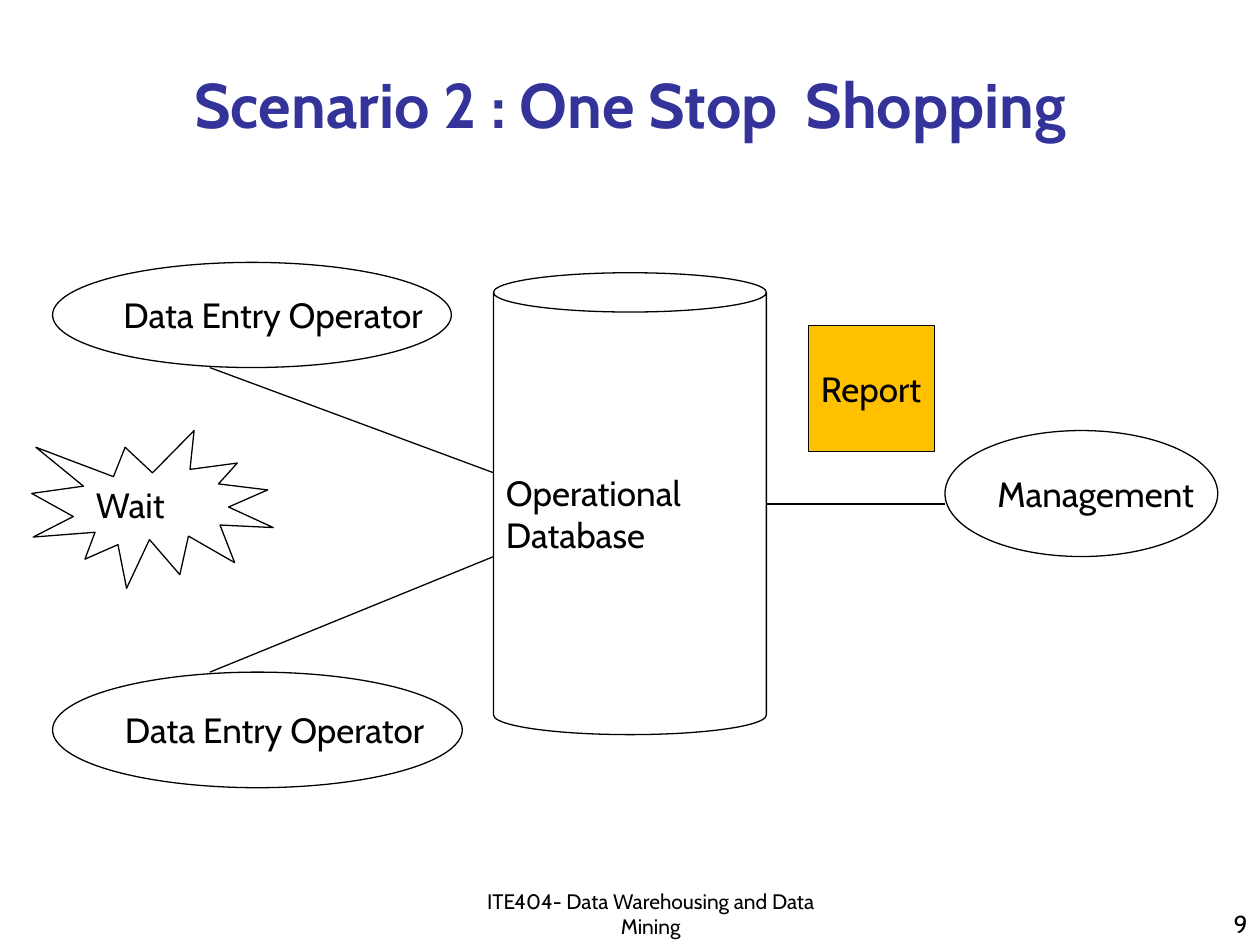
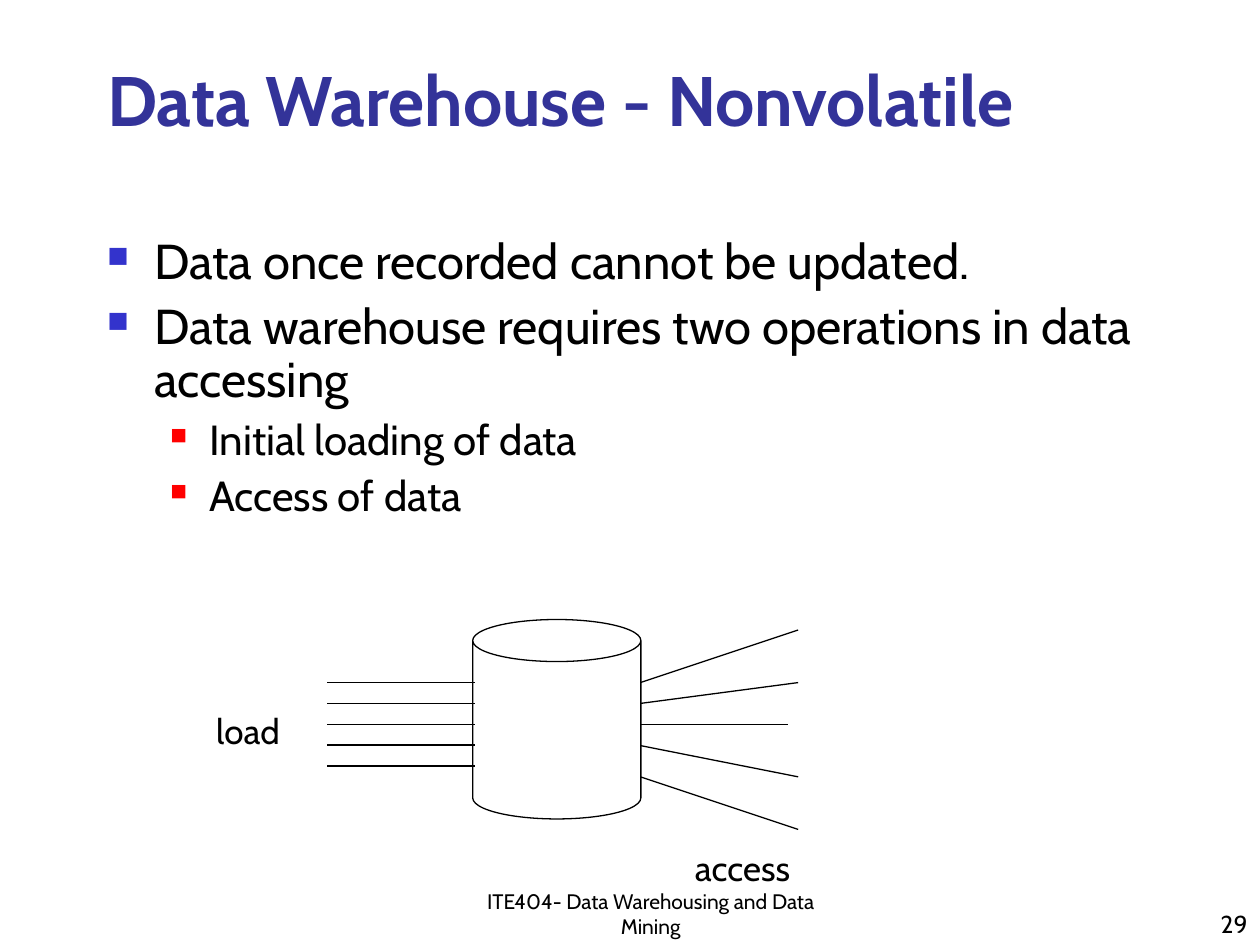
from dataclasses import dataclass
from typing import Any, Optional

import lxml.etree
import pptx
import pptx.dml.color
import pptx.enum.shapes
import pptx.enum.text
import pptx.oxml.ns
import pptx.util

Cm = pptx.util.Cm
Pt = pptx.util.Pt
Preset = pptx.enum.shapes.MSO_SHAPE
Align = pptx.enum.text.PP_ALIGN
Anchor = pptx.enum.text.MSO_ANCHOR

FONT = "Cabin"
BLACK = "000000"
TITLE_BLUE = "333399"
REPORT_AMBER = "FFC000"
LINE_WIDTH = 0.75
LABEL_SIZE = 20
COURSE = "ITE404- Data Warehousing and Data Mining"


@dataclass(frozen=True)
class Area:
    left: float
    top: float
    width: float
    height: float


@dataclass(frozen=True)
class Figure:
    preset: Any
    area: Area
    label: str = ""
    fill: Optional[str] = None
    bend: Optional[float] = None


@dataclass(frozen=True)
class Link:
    start_x: float
    start_y: float
    end_x: float
    end_y: float


@dataclass(frozen=True)
class Bullet:
    level: int
    size: int
    color: str
    scale: int
    indent: float
    hanging: float
    space: int


POINT = Bullet(0, 28, "3333CC", 60, 0.95, 0.95, 7)
DETAIL = Bullet(1, 24, "FF0000", 55, 2.06, 0.79, 6)

SCENARIO_FIGURES = [
    Figure(Preset.CAN, Area(9.95, 5.5, 5.5, 9.31), "Operational\nDatabase", bend=0.144),
    Figure(Preset.OVAL, Area(1.06, 5.29, 8.04, 2.12), "Data Entry Operator"),
    Figure(Preset.OVAL, Area(1.06, 13.55, 8.26, 2.33), "Data Entry Operator"),
    Figure(Preset.OVAL, Area(19.05, 8.68, 5.5, 2.54), "Management"),
    Figure(Preset.EXPLOSION1, Area(0.64, 8.68, 4.87, 3.18), "Wait"),
    Figure(Preset.RECTANGLE, Area(16.3, 6.56, 2.54, 2.54), "Report", fill=REPORT_AMBER),
]
SCENARIO_LINKS = [
    Link(4.23, 7.41, 9.95, 9.53),
    Link(4.23, 13.55, 9.95, 11.22),
    Link(15.45, 10.16, 19.05, 10.16),
]

WAREHOUSE = Figure(Preset.CAN, Area(9.53, 12.49, 3.39, 4.02), bend=0.25)
LOAD_LINKS = [Link(6.6, y, 9.58, y) for y in (13.76 + 0.42 * row for row in range(5))]
ACCESS_LINKS = [
    Link(12.91, 13.76, 16.09, 12.7),
    Link(12.91, 14.18, 16.09, 13.76),
    Link(12.91, 14.61, 15.88, 14.61),
    Link(12.91, 15.03, 16.09, 15.66),
    Link(12.91, 15.66, 16.09, 16.72),
]
NONVOLATILE_POINTS = [
    ("Data once recorded cannot be updated.", POINT),
    ("Data warehouse requires two operations in data accessing", POINT),
    ("Initial loading of data", DETAIL),
    ("Access of data", DETAIL),
]


def rgb(value: str) -> pptx.dml.color.RGBColor:
    return pptx.dml.color.RGBColor.from_string(value)


def place(area: Area) -> tuple:
    return Cm(area.left), Cm(area.top), Cm(area.width), Cm(area.height)


def add_bullet(para: Any, bullet: Bullet) -> None:
    para.level = bullet.level
    properties = para._p.get_or_add_pPr()
    properties.set("marL", str(Cm(bullet.indent)))
    properties.set("indent", str(-Cm(bullet.hanging)))
    qn = pptx.oxml.ns.qn
    color = lxml.etree.SubElement(properties, qn("a:buClr"))
    lxml.etree.SubElement(color, qn("a:srgbClr"), val=bullet.color)
    lxml.etree.SubElement(properties, qn("a:buSzPct"), val=str(bullet.scale * 1000))
    lxml.etree.SubElement(properties, qn("a:buChar"), char="■")


def write(
    frame: Any,
    text: str,
    *,
    size: int = LABEL_SIZE,
    color: str = BLACK,
    bold: bool = False,
    align: Any = Align.LEFT,
    bullet: Optional[Bullet] = None,
) -> None:
    for line in text.split("\n"):
        first = not frame.text
        para = frame.paragraphs[0] if first else frame.add_paragraph()
        para.alignment = align
        if bullet:
            add_bullet(para, bullet)
            para.line_spacing = 0.9
            para.space_before = Pt(0 if first else bullet.space)
        span = para.add_run()
        span.text = line
        span.font.name = FONT
        span.font.size = Pt(size)
        span.font.bold = bold
        span.font.color.rgb = rgb(color)


def add_frame(page: Any, area: Area, anchor: Any = Anchor.TOP, wrap: bool = True) -> Any:
    frame = page.shapes.add_textbox(*place(area)).text_frame
    frame.word_wrap = wrap
    frame.vertical_anchor = anchor
    return frame


def draw_figure(page: Any, figure: Figure) -> None:
    shape = page.shapes.add_shape(figure.preset, *place(figure.area))
    shape.shadow.inherit = False
    if figure.bend is not None:
        shape.adjustments[0] = figure.bend
    if figure.fill:
        shape.fill.solid()
        shape.fill.fore_color.rgb = rgb(figure.fill)
    else:
        shape.fill.background()
    shape.line.color.rgb = rgb(BLACK)
    shape.line.width = Pt(LINE_WIDTH)
    if figure.label:
        shape.text_frame.word_wrap = False
        shape.text_frame.vertical_anchor = Anchor.MIDDLE
        write(shape.text_frame, figure.label)


def draw_link(page: Any, link: Link) -> None:
    connector = page.shapes.add_connector(
        pptx.enum.shapes.MSO_CONNECTOR.STRAIGHT,
        Cm(link.start_x), Cm(link.start_y), Cm(link.end_x), Cm(link.end_y),
    )
    connector.line.color.rgb = rgb(BLACK)
    connector.line.width = Pt(LINE_WIDTH)
    lxml.etree.SubElement(connector._element.spPr, pptx.oxml.ns.qn("a:effectLst"))


def add_page(deck: Any, title: str, area: Area, size: int, align: Any, number: int) -> Any:
    page = deck.slides.add_slide(deck.slide_layouts[6])
    write(add_frame(page, area, Anchor.BOTTOM), title,
          size=size, color=TITLE_BLUE, bold=True, align=align)
    write(add_frame(page, Area(20.11, 17.78, 5.29, 1.27), Anchor.BOTTOM), str(number),
          size=14, align=Align.RIGHT)
    write(add_frame(page, Area(9.1, 17.99, 8.04, 1.06), Anchor.BOTTOM), COURSE,
          size=12, align=Align.CENTER)
    return page


def build_scenario(deck: Any) -> None:
    page = add_page(deck, "Scenario 2 : One Stop  Shopping",
                    Area(1.91, 1.06, 21.59, 1.91), 36, Align.CENTER, 9)
    for figure in SCENARIO_FIGURES:
        draw_figure(page, figure)
    for link in SCENARIO_LINKS:
        draw_link(page, link)


def build_nonvolatile(deck: Any) -> None:
    page = add_page(deck, "Data Warehouse - Nonvolatile",
                    Area(1.91, 1.27, 22.44, 1.69), 40, Align.LEFT, 29)
    body = add_frame(page, Area(1.91, 4.66, 21.59, 6.35))
    for text, bullet in NONVOLATILE_POINTS:
        write(body, text, size=bullet.size, bullet=bullet)
    draw_figure(page, WAREHOUSE)
    for link in LOAD_LINKS + ACCESS_LINKS:
        draw_link(page, link)
    write(add_frame(page, Area(4.11, 14.18, 1.96, 1.11), wrap=False), "load")
    write(add_frame(page, Area(13.76, 16.93, 2.97, 1.11)), "access")


def main() -> None:
    deck = pptx.Presentation()
    deck.slide_width = Cm(25.4)
    deck.slide_height = Cm(19.05)
    build_scenario(deck)
    build_nonvolatile(deck)
    deck.save("out.pptx")


if __name__ == "__main__":
    main()
